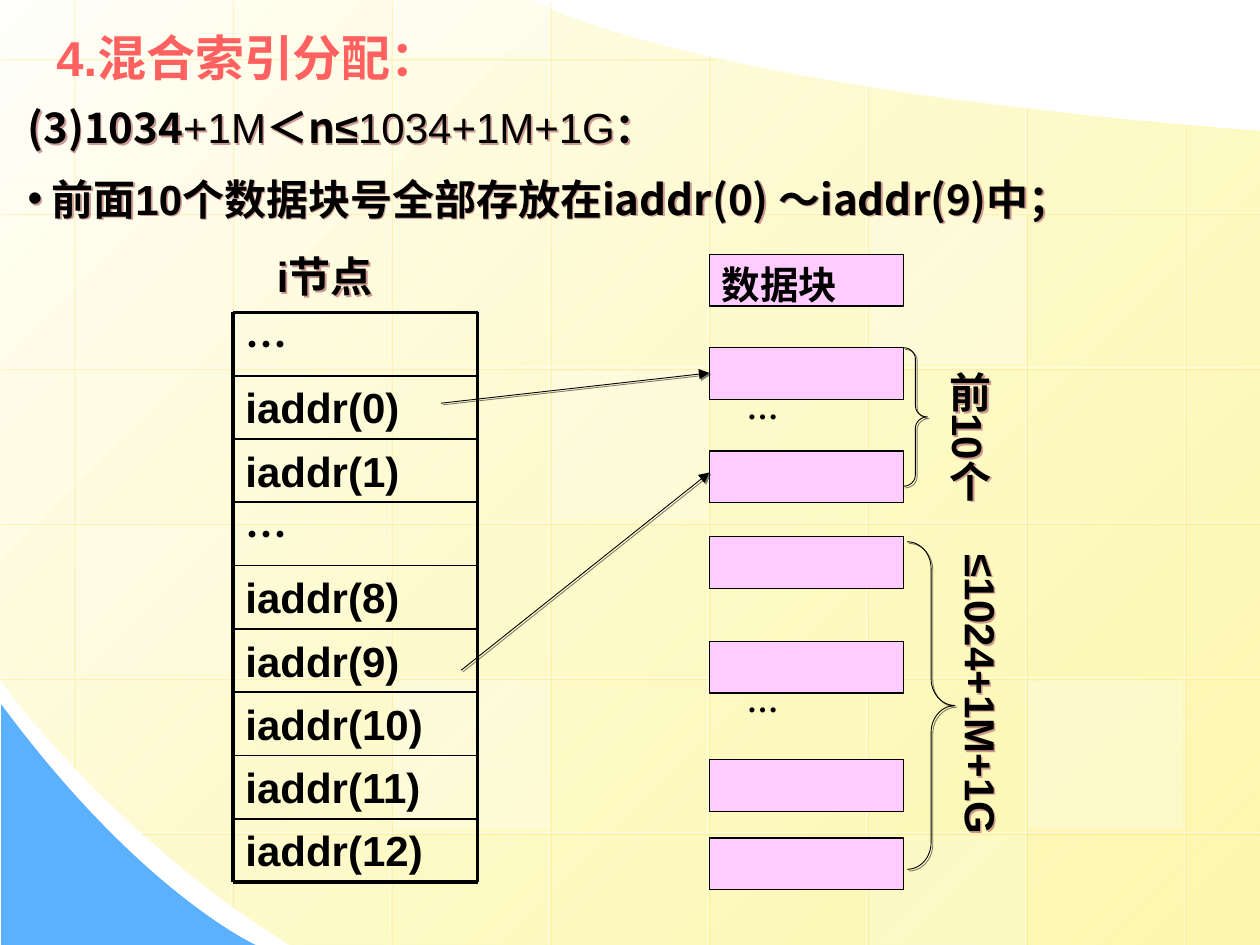
from lxml import etree
from pptx import Presentation
from pptx.dml.color import RGBColor
from pptx.enum.shapes import MSO_CONNECTOR, MSO_SHAPE
from pptx.enum.text import MSO_ANCHOR
from pptx.oxml.ns import qn
from pptx.util import Inches, Pt

LINE = MSO_CONNECTOR.STRAIGHT
RECT = MSO_SHAPE.RECTANGLE
BRACE = MSO_SHAPE.RIGHT_BRACE
TOP, MIDDLE = MSO_ANCHOR.TOP, MSO_ANCHOR.MIDDLE
SANS, CJK, SERIF = "Arial", "Noto Sans CJK SC", "Times New Roman"
COLORS = {
    "white": "FFFFFF", "cream": "FFFFFB", "yellow": "FDF58D", "blue": "5CB1FE",
    "gold": "FFCC00", "title": "FF6161", "ink": "000000", "block": "FFCCFF",
    "rose": "C08080",
}


def rgb(name):
    return RGBColor.from_string(COLORS[name])


def set_alpha(color, percent):
    etree.SubElement(color, qn("a:alpha"), val=str(percent * 1000))


def add_shadow(shape, color, percent):
    """Give a shape a small shadow towards the lower right."""
    effects = etree.SubElement(shape._element.spPr, qn("a:effectLst"))
    shadow = etree.SubElement(effects, qn("a:outerShdw"), dist=str(Pt(1.4)), dir="2700000")
    set_alpha(etree.SubElement(shadow, qn("a:srgbClr"), val=COLORS[color]), percent)


def add_text(s, box, paragraphs, size, color="ink", anchor=TOP, shadow=False, vertical=False):
    """Each paragraph is a list of (text, font, bold) runs."""
    sp = s.shapes.add_textbox(*map(Inches, box))
    if shadow:
        add_shadow(sp, "rose", 80)
    tf = sp.text_frame
    tf.word_wrap = True
    tf.vertical_anchor = anchor
    if vertical:
        tf._txBody.bodyPr.set("vert", "eaVert")
    for i, runs in enumerate(paragraphs):
        p = tf.add_paragraph() if i else tf.paragraphs[0]
        for text, font, bold in runs:
            r = p.add_run()
            r.text = text
            r.font.name, r.font.bold = font, bold
            etree.SubElement(r._r.get_or_add_rPr(), qn("a:ea"), typeface=CJK)
        p.font.size = Pt(size)
        p.font.color.rgb = rgb(color)
    return tf


def add_line(s, start, end, width, color="ink"):
    c = s.shapes.add_connector(LINE, *map(Inches, (*start, *end)))
    c.line.width = Pt(width)
    c.line.color.rgb = rgb(color)
    return c


def add_rule(s, start, end, width):
    c = add_line(s, start, end, width)
    etree.SubElement(c._element.spPr, qn("a:effectLst"))


def add_arrow(s, start, end):
    c = add_line(s, start, end, 0.5)
    etree.SubElement(c.line._get_or_add_ln(), qn("a:tailEnd"), type="triangle")
    add_shadow(c, "ink", 50)


def add_rect(s, box, color):
    sp = s.shapes.add_shape(RECT, *map(Inches, box))
    sp.shadow.inherit = False
    sp.fill.solid()
    sp.fill.fore_color.rgb = rgb(color)
    return sp


def add_curved(s, start, curves):
    """Closed outline of Bezier curves, each (control, control, end)."""
    builder = s.shapes.build_freeform(*map(Inches, start))
    builder.add_line_segments([tuple(map(Inches, curve[-1])) for curve in curves], close=True)
    sp = builder.convert_to_shape()
    # Turn each straight segment into its curve
    for segment, curve in zip(list(sp._element.iter(qn("a:lnTo"))), curves):
        bezier = etree.Element(qn("a:cubicBezTo"))
        for x, y in curve:
            etree.SubElement(bezier, qn("a:pt"), x=str(Inches(x) - sp.left),
                             y=str(Inches(y) - sp.top))
        segment.getparent().replace(segment, bezier)
    sp.shadow.inherit = False
    sp.line.fill.background()
    return sp


def add_background(s, width, height):
    # Yellow sheet with curved corners
    a, b, c, d = (10, 7.5), (2.3, 7.5), (0, 5.39), (0, 0)
    e, f = (4.21, 0), (10, 1.04)
    sheet = add_curved(s, f, [(f, a, a), (a, b, b), ((0.86, 6.61), (0, 5.39), c),
                              (c, d, d), (d, e, e), (e, (5.37, 0.69), f)])
    sheet.fill.gradient()
    sheet.fill.gradient_angle = 315
    for stop, color in zip(sheet.fill.gradient_stops, ("cream", "yellow")):
        stop.color.rgb = rgb(color)
    set_alpha(list(sheet._element.spPr.iter(qn("a:srgbClr")))[-1], 70)
    # Blue corner
    g, h, k = (0.01, 5.59), (0.01, 7.5), (2.03, 7.5)
    corner = add_curved(s, g, [(g, h, h), (h, k, k), (k, (1.12, 7.09), g)])
    corner.fill.solid()
    corner.fill.fore_color.rgb = rgb("blue")
    # Grid lines, cut where the sheet curves
    left, top, dx, dy = 0.58, 0.46, 1.26, 1.23
    tops = (0, 0, 0, 0, 0.43, 0.68, 0.85, 0.98)
    bottoms = (6.09, 7.19) + (height,) * 6
    spans = [((left + i * dx, y1), (left + i * dx, y2))
             for i, (y1, y2) in enumerate(zip(tops, bottoms))]
    spans += [((5.68 if i == 0 else width, top + i * dy), (1.11 if i == 5 else 0, top + i * dy))
              for i in range(6)]
    for start, end in spans:
        c = add_line(s, start, end, 0.75, "white")
        set_alpha(next(c._element.spPr.iter(qn("a:srgbClr"))), 50)
        add_shadow(c, "gold", 34)
    # Pale grid cells: column, row, opacity
    for col, row, percent in ((3, 2, 25), (6, 4, 30), (0, 3, 20), (5, 5, 20),
                              (2, -1, 40), (2, 4, 30), (5, 1, 30)):
        y = top + row * dy + 0.02
        y1, y2 = max(0, y), min(height, y + 1.18)
        cell = add_rect(s, (left + col * dx + 0.02, y1, 1.23, y2 - y1), "white")
        cell.line.fill.background()
        set_alpha(next(cell._element.spPr.iter(qn("a:srgbClr"))), percent)


def add_heading(s, left, top):
    add_text(s, (left + 0.23, top, 9, 0.64), [[("4.混合索引分配：", SANS, True)]], 28,
             "title", MIDDLE)
    tf = add_text(s, (left, top + 0.63, 9.45, 1.1), [
        [("(3)1034", CJK, True), ("+1M", SANS, False), ("＜", SANS, True), ("n", CJK, True),
         ("≤", SANS, True), ("1034+1M+1G", SANS, False), ("：", SANS, True)],
        [("前面10个数据块号全部存放在", SANS, True), ("iaddr(0) ～iaddr(9)中；", CJK, True)],
    ], 24, shadow=True)
    p = tf.paragraphs[1]
    p.space_before = Pt(12)
    pPr = p._p.get_or_add_pPr()
    pPr.set("marL", str(Inches(0.19)))
    pPr.set("indent", str(-Inches(0.19)))
    font = pPr.find(qn("a:defRPr"))
    font.addprevious(etree.Element(qn("a:buFont"), typeface=SANS))
    font.addprevious(etree.Element(qn("a:buChar"), char="•"))


def add_inode(s, left, top, width, height):
    add_text(s, (left + 0.25, top - 0.54, 1.56, 0.5), [[("i节点", SANS, True)]], 24, shadow=True)
    rows = ["…", "iaddr(0)", "iaddr(1)", "…"] + [f"iaddr({i})" for i in range(8, 13)]
    step = height / len(rows)
    right, bottom = left + width, top + height
    for i, label in enumerate(rows):
        font = CJK if label == "…" else SANS
        add_text(s, (left, top + i * step, width, step), [[(label, font, True)]], 24)
    for i in range(len(rows) + 1):
        y = top + i * step
        add_rule(s, (left, y), (right, y), 2.25 if i in (0, len(rows)) else 1)
    for x in (left, right):
        add_rule(s, (x, top), (x, bottom), 2.25)


def add_data_blocks(s, left, top):
    # Blocks, the first one labelled
    for dy in (0, 0.74, 1.56, 2.24, 3.07, 4.01, 4.63):
        block = add_rect(s, (left, top + dy, 1.54, 0.41), "block")
        block.line.color.rgb = rgb("ink")
        block.line.width = Pt(0.75)
    add_text(s, (left, top, 1.73, 0.47), [[("数据块", SERIF, True)]], 22)
    for dy in (1.01, 3.34):
        add_text(s, (left + 0.2, top + dy, 1.35, 0.4), [[("…", SERIF, True)]], 18)
    # Braces with their vertical labels
    for brace, bend, label, box in (
            ((1.54, 0.74, 0.19, 1.1), 0.47, "前10个", (1.71, 0.83, 0.6, 1.37)),
            ((1.57, 2.28, 0.38, 2.6), 0.56, "≤1024+1M+1G", (1.81, 2.28, 0.6, 2.68))):
        x, y, w, h = brace
        sp = s.shapes.add_shape(BRACE, *map(Inches, (left + x, top + y, w, h)))
        sp.adjustments[0] = bend
        sp.fill.background()
        sp.line.color.rgb = rgb("ink")
        sp.line.width = Pt(0.5)
        add_shadow(sp, "ink", 50)
        x, y, w, h = box
        add_text(s, (left + x, top + y, w, h), [[(label, SANS, True)]], 24,
                 shadow=True, vertical=True)


def main():
    prs = Presentation()
    prs.slide_width, prs.slide_height = Inches(10), Inches(7.5)
    s = prs.slides.add_slide(prs.slide_layouts[6])
    add_background(s, 10, 7.5)
    add_heading(s, 0.12, 0.13)
    add_inode(s, 1.85, 2.48, 1.94, 4.52)
    add_data_blocks(s, 5.63, 2.02)
    add_arrow(s, (3.5, 3.2), (5.63, 2.96))
    add_arrow(s, (3.66, 5.32), (5.63, 3.75))
    prs.save("out.pptx")


if __name__ == "__main__":
    main()
